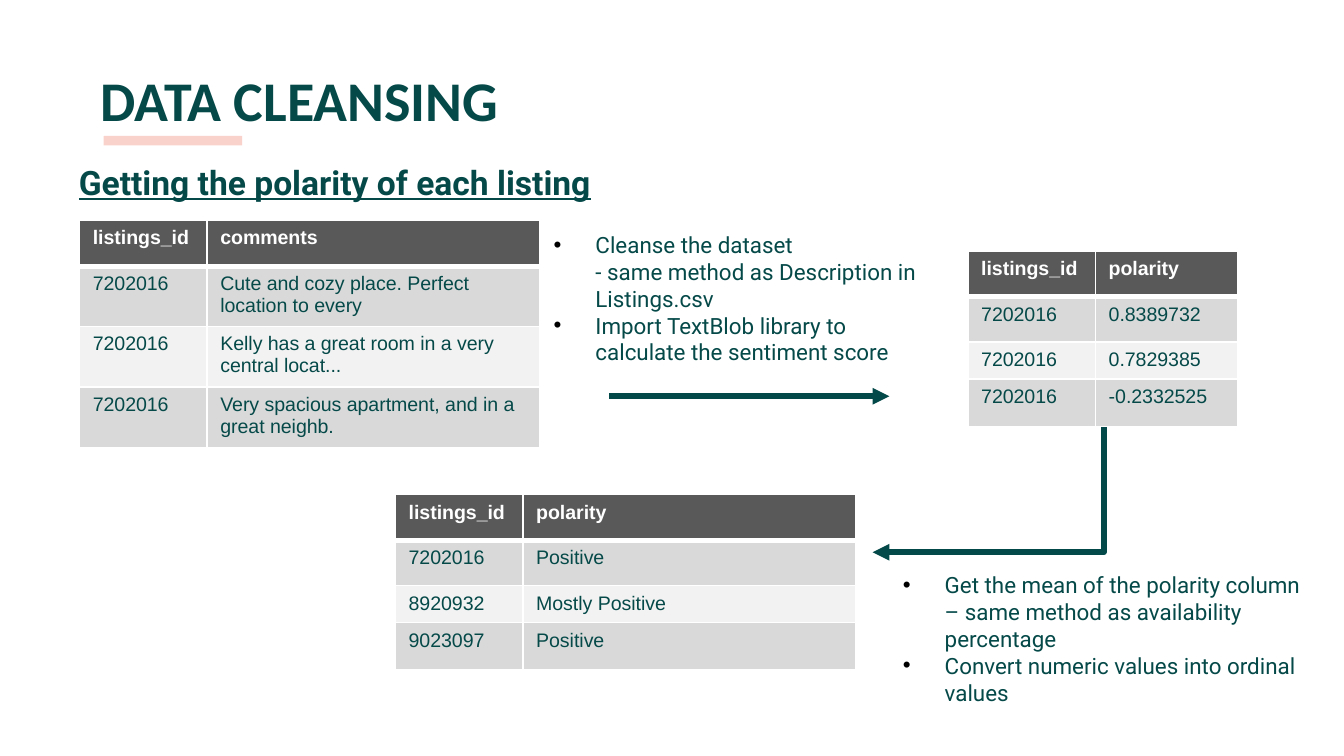
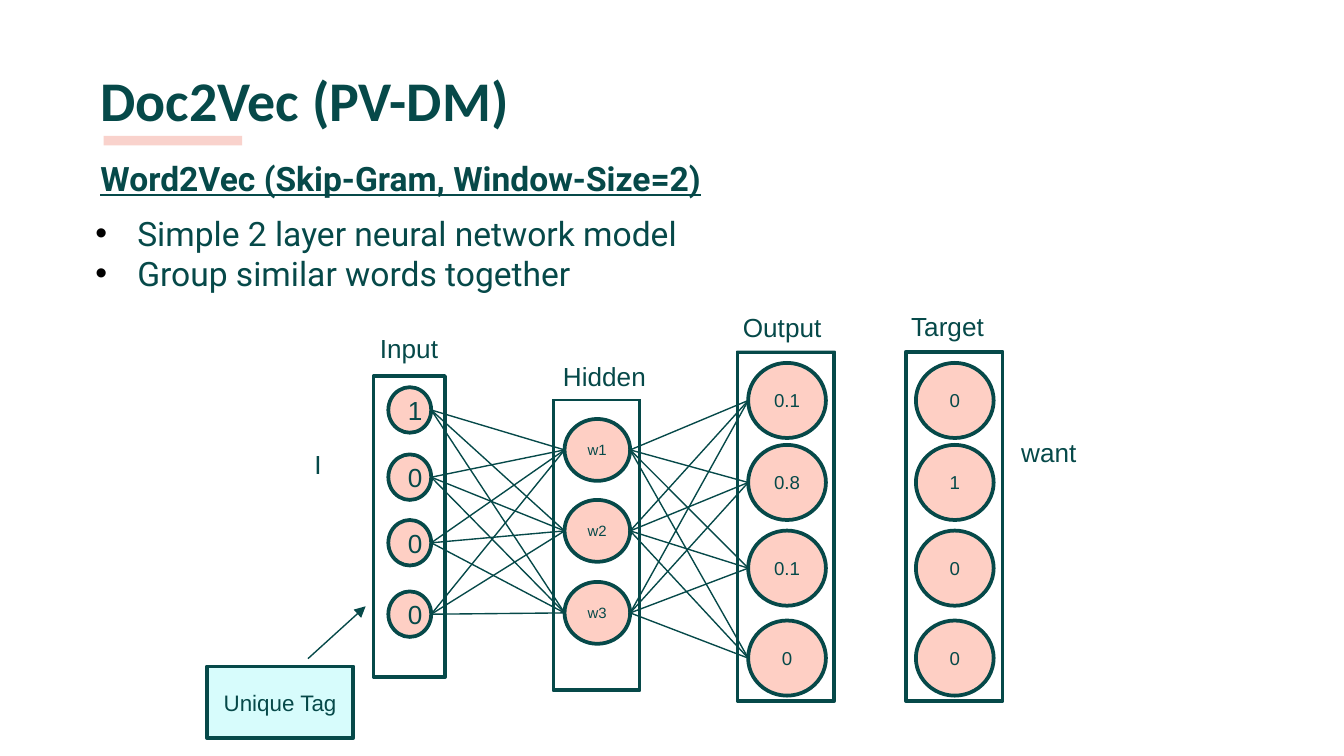
from copy import deepcopy
from itertools import pairwise, product

from lxml.etree import SubElement
from pptx import Presentation
from pptx.dml.color import RGBColor
from pptx.enum.shapes import MSO_CONNECTOR as LINK, MSO_SHAPE as SHAPE
from pptx.enum.text import MSO_ANCHOR as ANCHOR, MSO_AUTO_SIZE as FIT, PP_ALIGN as ALIGN
from pptx.oxml.ns import qn
from pptx.util import Cm, Pt

TEAL = RGBColor(0x06, 0x49, 0x49)
ARROW_TEAL = RGBColor(0x04, 0x49, 0x49)
SALMON = RGBColor(0xF4, 0xAA, 0x9E)
PINK = RGBColor(0xFE, 0xCF, 0xC4)
AQUA = RGBColor(0xD7, 0xFC, 0xFC)
WHITE = RGBColor(0xFF, 0xFF, 0xFF)
HEADER_GREY = RGBColor(0x59, 0x59, 0x59)
DARK_ROW = RGBColor(0xD9, 0xD9, 0xD9)
LIGHT_ROW = RGBColor(0xF2, 0xF2, 0xF2)


def style_text(frame, font, size, color=TEAL, bold=False, underline=False,
               align=ALIGN.LEFT, anchor=ANCHOR.TOP):
    frame.word_wrap = True
    frame.vertical_anchor = anchor
    for paragraph in frame.paragraphs:
        paragraph.alignment = align
        for run in paragraph.runs:
            run.font.name = font
            run.font.size = Pt(size)
            run.font.color.rgb = color
            run.font.bold = bold
            run.font.underline = underline
        for line_break in paragraph._p.findall(qn("a:br")):
            line_break.append(deepcopy(paragraph.runs[0]._r.rPr))


def draw_line(slide, start, end, color=TEAL, width=0.75, arrow=False, kind=LINK.STRAIGHT):
    line = slide.shapes.add_connector(kind, *map(Cm, start + end))
    line.line.color.rgb = color
    line.line.width = Pt(width)
    if arrow:
        SubElement(line.line._get_or_add_ln(), qn("a:tailEnd"), type="triangle")
    SubElement(line._element.spPr, qn("a:effectLst"))
    return line


deck = Presentation()
deck.slide_width = Cm(25.4)
deck.slide_height = Cm(14.29)

contents = [
    (3, "DATA CLEANSING", "Getting the polarity of each listing", (1.24, 2.82), 12, [
        ((10.21, 4.24, 7.77, 2.82),
         ["Cleanse the dataset\v- same method as Description in Listings.csv",
          "Import TextBlob library to calculate the sentiment score"]),
        ((16.81, 10.67, 8.97, 3.43),
         ["Get the mean of the polarity column\v– same method as availability percentage",
          "Convert numeric values into ordinal values"]),
    ]),
    (1, "Doc2Vec (PV-DM)", "Word2Vec (Skip-Gram, Window-Size=2)", (1.65, 2.74), 18, [
        ((1.55, 3.89, 23.67, 1.8),
         ["Simple 2 layer neural network model", "Group similar words together"]),
    ]),
]

for layout, heading, topic, topic_at, list_size, lists in contents:
    slide = deck.slides.add_slide(deck.slide_layouts[layout])
    title = slide.shapes.title
    title.left, title.top, title.width, title.height = map(Cm, (1.65, 0.99, 23.67, 1.6))
    title.text_frame.text = heading
    title.text_frame.auto_size = FIT.NONE
    style_text(title.text_frame, "Calibri", 30, bold=True)

    underline = slide.shapes.add_shape(SHAPE.RECTANGLE, Cm(1.96), Cm(2.57), Cm(2.62), Cm(0.18))
    underline.shadow.inherit = False
    underline.line.fill.background()
    underline.fill.solid()
    underline.fill.fore_color.rgb = SALMON
    salmon = underline._element.spPr.find(qn("a:solidFill")).find(qn("a:srgbClr"))
    SubElement(salmon, qn("a:alpha"), val="52000")

    subheading = slide.shapes.add_textbox(*map(Cm, topic_at + (15.85, 2.51)))
    subheading.text_frame.text = topic
    style_text(subheading.text_frame, "Roboto", 18, bold=True, underline=True)

    for frame in (title.text_frame, subheading.text_frame):
        frame.margin_left = frame.margin_right = Cm(0.25)
        frame.margin_top = frame.margin_bottom = Cm(0.25)

    for points, (place, lines) in zip(list(slide.placeholders)[1:], lists):
        points.left, points.top, points.width, points.height = map(Cm, place)
        frame = points.text_frame
        frame.auto_size = FIT.NONE
        for number, line in enumerate(lines):
            paragraph = frame.add_paragraph() if number else frame.paragraphs[0]
            paragraph.text = line
            properties = paragraph._p.get_or_add_pPr()
            properties.set("marL", str(Cm(0.79)))
            properties.set("indent", str(-Cm(0.79)))
            bullet_color = SubElement(properties, qn("a:buClr"))
            SubElement(bullet_color, qn("a:srgbClr"), val="000000")
            SubElement(properties, qn("a:buFont"), typeface="Arial")
            SubElement(properties, qn("a:buChar"), char="•")
            paragraph.space_before = Pt(0)
        style_text(frame, "Roboto", list_size)

cleansing, doc2vec = deck.slides

draw_line(cleansing, (11.51, 7.49), (16.81, 7.49), ARROW_TEAL, 3, arrow=True)
to_ordinal = draw_line(cleansing, (17.48, 7.06), (19.87, 11.43), ARROW_TEAL, 3,
                       arrow=True, kind=LINK.ELBOW)
to_ordinal._element.spPr.find(qn("a:prstGeom")).set("prst", "bentConnector2")
to_ordinal._element.spPr.find(qn("a:xfrm")).set("rot", "5400000")

ROW_HEIGHTS = (0.86, 0.86, 0.33, 0.89)
ROW_FILLS = (HEADER_GREY, DARK_ROW, LIGHT_ROW, DARK_ROW)
tables = [
    ((1.5, 4.17), (2.41, 6.3), [
        ("listings_id", "comments"),
        ("7202016", "Cute and cozy place. Perfect location to every"),
        ("7202016", "Kelly has a great room in a very central locat..."),
        ("7202016", "Very spacious apartment, and in a great neighb."),
    ]),
    ((18.29, 4.75), (2.41, 2.69), [
        ("listings_id", "polarity"),
        ("7202016", "0.8389732"),
        ("7202016", "0.7829385"),
        ("7202016", "-0.2332525"),
    ]),
    ((7.47, 9.35), (2.41, 6.3), [
        ("listings_id", "polarity"),
        ("7202016", "Positive"),
        ("8920932", "Mostly Positive"),
        ("9023097", "Positive"),
    ]),
]
for corner, widths, records in tables:
    size = (sum(widths), sum(ROW_HEIGHTS))
    listings = cleansing.shapes.add_table(4, 2, *map(Cm, corner + size)).table
    for column, width in zip(listings.columns, widths):
        column.width = Cm(width)
    for r, record in enumerate(records):
        listings.rows[r].height = Cm(ROW_HEIGHTS[r])
        for c, value in enumerate(record):
            cell = listings.cell(r, c)
            cell.text_frame.text = value
            style_text(cell.text_frame, "Arial", 10.5, TEAL if r else WHITE, bold=r == 0)
            for side in "LRTB":
                thick = (r, side) in ((0, "B"), (1, "T"))
                border = SubElement(cell._tc.get_or_add_tcPr(), qn(f"a:ln{side}"),
                                    w=str(Pt(3 if thick else 1)))
                SubElement(SubElement(border, qn("a:solidFill")), qn("a:srgbClr"),
                           val=str(WHITE))
            cell.fill.solid()
            cell.fill.fore_color.rgb = ROW_FILLS[r]

layer_frames = [
    (7.06, 7.11, 1.35, 5.69),
    (10.46, 7.54, 1.63, 5.51),
    (13.94, 6.65, 1.83, 6.6),
    (17.12, 6.65, 1.83, 6.6),
]
captions = [
    ("Input", 6.93, 6.15, 1.68),
    ("Hidden", 10.39, 6.68, 2.26),
    ("Output", 13.79, 5.77, 2.21),
    ("Target", 16.97, 5.74, 2.21),
    ("I", 5.69, 8.36, 1.14),
    ("want", 19.05, 8.13, 2.21),
]
OUTPUT_TOPS = (6.86, 8.41, 10.03, 11.73)
layers = [
    (7.34, (7.32, 8.59, 9.83, 11.18), 0.81, 0.86, 14, ("1", "0", "0", "0")),
    (10.67, (7.92, 9.45, 11), 1.24, 1.17, 8, ("w1", "w2", "w3")),
    (14.14, OUTPUT_TOPS, 1.47, 1.42, 10, ("0.1", "0.8", "0.1", "0")),
    (17.31, OUTPUT_TOPS, 1.47, 1.42, 10, ("0", "1", "0", "0")),
]

parts = [(SHAPE.RECTANGLE, place, WHITE, "", 14) for place in layer_frames]
parts.append((SHAPE.RECTANGLE, (3.91, 12.6, 2.77, 1.35), AQUA, "Unique Tag", 12))
for left, tops, width, height, size, values in layers:
    for top, value in zip(tops, values):
        parts.append((SHAPE.OVAL, (left, top, width, height), PINK, value, size))

for outline, place, color, text, size in parts:
    part = doc2vec.shapes.add_shape(outline, *map(Cm, place))
    part.shadow.inherit = False
    part.fill.solid()
    part.fill.fore_color.rgb = color
    part.line.color.rgb = TEAL
    part.line.width = Pt(2)
    part.text_frame.text = text
    style_text(part.text_frame, "Arial", size, align=ALIGN.CENTER, anchor=ANCHOR.MIDDLE)

for text, left, top, width in captions:
    caption = doc2vec.shapes.add_shape(SHAPE.RECTANGLE, *map(Cm, (left, top, width, 0.86)))
    caption.shadow.inherit = False
    caption.fill.solid()
    caption.fill.fore_color.rgb = WHITE
    caption.line.fill.background()
    caption.text_frame.text = text
    caption.text_frame.auto_size = FIT.SHAPE_TO_FIT_TEXT
    style_text(caption.text_frame, "Arial", 14)

for source, goal in pairwise(layers[:3]):
    source_left, source_tops, source_width, source_height = source[:4]
    goal_left, goal_tops, _, goal_height = goal[:4]
    for source_top, goal_top in product(source_tops, goal_tops):
        draw_line(doc2vec,
                  (source_left + source_width, source_top + source_height / 2),
                  (goal_left, goal_top + goal_height / 2))

draw_line(doc2vec, (5.82, 12.45), (6.91, 11.46), arrow=True)

deck.save("out.pptx")
